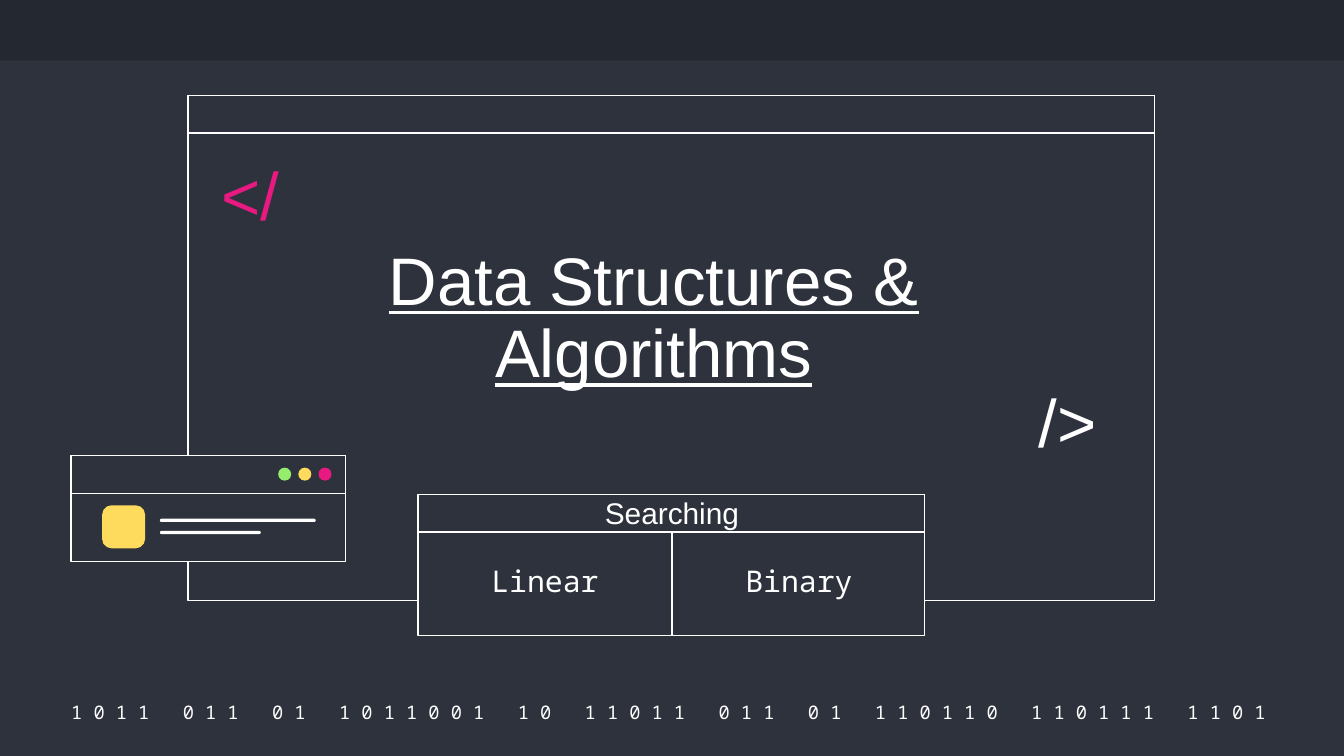
import dataclasses

import pptx
import pptx.dml.color
import pptx.enum.shapes
import pptx.enum.text
import pptx.oxml
import pptx.oxml.ns
import pptx.util

SHAPES = pptx.enum.shapes.MSO_SHAPE
ALIGN = pptx.enum.text.PP_ALIGN
ANCHOR = pptx.enum.text.MSO_ANCHOR


@dataclasses.dataclass(frozen=True)
class Theme:
    background: str = "2D323C"
    band: str = "242830"
    white: str = "FFFFFF"
    pink: str = "E81981"
    yellow: str = "FFDB5D"
    green: str = "94EE6B"
    heading_font: str = "Arial"
    code_font: str = "Noto Sans Mono"
    title_size: int = 36
    label_size: int = 16
    digit_size: int = 10
    outline: float = 0.75


@dataclasses.dataclass(frozen=True)
class Area:
    """A place in grid cells: 100 columns, square cells."""
    col: float
    row: float
    cols: float
    rows: float


@dataclasses.dataclass(frozen=True)
class Label:
    text: str
    area: Area
    size: int
    font: str
    color: str = "FFFFFF"
    align: int = ALIGN.CENTER
    anchor: int = ANCHOR.TOP
    spacing: float = 1.0
    underline: bool = False


THEME = Theme()
WIDTH, HEIGHT = pptx.util.Inches(10), pptx.util.Inches(5.625)
COLUMNS = 100
BAR_ROWS = 2.8


def cells(count: float) -> int:
    return round(count * WIDTH / COLUMNS)


def rgb(value: str) -> pptx.dml.color.RGBColor:
    return pptx.dml.color.RGBColor.from_string(value)


def apply(target, values: dict) -> None:
    for name, value in values.items():
        setattr(target, name, value)


def place(box, area: Area) -> None:
    apply(box, {"left": cells(area.col), "top": cells(area.row),
                "width": cells(area.cols), "height": cells(area.rows)})


def draw_shape(page, kind, area: Area, fill: str, line: str = "", corner=None):
    box = page.shapes.add_shape(kind, 0, 0, 0, 0)
    place(box, area)
    box.shadow.inherit = False
    box.fill.solid()
    box.fill.fore_color.rgb = rgb(fill)
    if line:
        box.line.color.rgb = rgb(line)
        box.line.width = pptx.util.Pt(THEME.outline)
    else:
        box.line.fill.background()
    if corner is not None:
        box.adjustments[0] = corner


def draw_window(page, area: Area) -> None:
    """An outlined window with a title bar along its top."""
    bar = dataclasses.replace(area, rows=BAR_ROWS)
    for part in (area, bar):
        draw_shape(page, SHAPES.RECTANGLE, part, THEME.background, THEME.white)


def add_span(para, text: str, label: Label):
    span = para.add_run()
    span.text = text
    apply(span.font, {"size": pptx.util.Pt(label.size), "name": label.font,
                      "underline": label.underline or None})
    span.font.color.rgb = rgb(label.color)
    return span


def format_box(box, label: Label):
    """Place and format a text box or placeholder; return its paragraph."""
    place(box, label.area)
    inset = cells(1)
    apply(box.text_frame, {
        "word_wrap": True, "auto_size": pptx.enum.text.MSO_AUTO_SIZE.NONE,
        "vertical_anchor": label.anchor, "margin_left": inset,
        "margin_right": inset, "margin_top": inset, "margin_bottom": inset})
    para = box.text_frame.paragraphs[0]
    apply(para, {"alignment": label.align, "line_spacing": label.spacing,
                 "space_before": pptx.util.Pt(0)})
    return para


def draw_label(page, label: Label) -> None:
    box = page.shapes.add_textbox(0, 0, 0, 0)
    add_span(format_box(box, label), label.text, label)


def draw_digits(page, groups: list[str], label: Label) -> None:
    """Spaced digits, with a widened space between the groups."""
    para = format_box(page.shapes.add_textbox(0, 0, 0, 0), label)
    for index, group in enumerate(groups):
        if index:
            gap = add_span(para, " ", label)
            gap.font._element.set("spc", "1200")
        add_span(para, " ".join(group), label)
    add_span(para, " ", label)


def draw_line(page, col: float, top: float, bottom: float) -> None:
    line = page.shapes.add_connector(
        pptx.enum.shapes.MSO_CONNECTOR.STRAIGHT,
        cells(col), cells(top), cells(col), cells(bottom))
    line.line.color.rgb = rgb(THEME.white)
    line.line.width = pptx.util.Pt(THEME.outline)
    properties = line._element.find(pptx.oxml.ns.qn("p:spPr"))
    properties.append(pptx.oxml.parse_xml(
        f"<a:effectLst {pptx.oxml.ns.nsdecls('a')}/>"))


def main() -> None:
    deck = pptx.Presentation()
    apply(deck, {"slide_width": WIDTH, "slide_height": HEIGHT})
    page = deck.slides.add_slide(deck.slide_layouts[5])
    page.background.fill.solid()
    page.background.fill.fore_color.rgb = rgb(THEME.background)

    # Top band and binary footer
    draw_shape(page, SHAPES.RECTANGLE, Area(0, 0, COLUMNS, 4.5), THEME.band)
    draw_digits(
        page, "1011 011 01 1011001 10 11011 011 01 110110 110111 1101".split(),
        Label("", Area(3.8, 52, 92.7, 2), THEME.digit_size, THEME.code_font,
              anchor=ANCHOR.MIDDLE))

    # Main window and topic window
    draw_window(page, Area(14, 7.1, 71.9, 37.6))
    draw_window(page, Area(31.1, 36.8, 37.7, 10.5))

    # Code brackets
    for text, col, row, color in (("</", 15.5, 11.5, THEME.pink),
                                  ("/>", 76.3, 28.4, THEME.white)):
        draw_label(page, Label(
            text, Area(col, row, 7.7, 6.6), THEME.title_size,
            THEME.heading_font, color, ALIGN.LEFT, ANCHOR.MIDDLE, 0.9))

    # Title, brought in front of the windows
    title = page.shapes.title
    heading = Label("Data Structures & Algorithms", Area(21.2, 22.9, 54.9, 7.3),
                    THEME.title_size, THEME.heading_font,
                    anchor=ANCHOR.BOTTOM, spacing=0.9, underline=True)
    add_span(format_box(title, heading), heading.text, heading)
    title.element.getparent().append(title.element)

    # Small window: buttons, icon and text bars
    draw_window(page, Area(5.3, 33.9, 20.4, 7.9))
    for index, color in enumerate((THEME.green, THEME.yellow, THEME.pink)):
        draw_shape(page, SHAPES.OVAL,
                   Area(20.7 + 1.5 * index, 34.8, 0.97, 0.97), color)
    draw_shape(page, SHAPES.ROUNDED_RECTANGLE, Area(7.6, 37.6, 3.2, 3.2),
               THEME.yellow, corner=0.22)
    for row, length in ((38.6, 11.6), (39.5, 7.5)):
        draw_shape(page, SHAPES.ROUNDED_RECTANGLE,
                   Area(11.9, row, length, 0.24), THEME.white, corner=0.5)

    # Topic labels and divider
    draw_label(page, Label(
        "Searching", Area(42.3, 37.8, 15.4, 2.7), THEME.label_size,
        THEME.heading_font, anchor=ANCHOR.BOTTOM, spacing=0.9))
    draw_line(page, 50, 39.6, 47.3)
    for text, col, cols in (("Linear", 33.5, 14.1), ("Binary", 50, 18.9)):
        draw_label(page, Label(text, Area(col, 40.9, cols, 3.9),
                               THEME.label_size, THEME.code_font))

    deck.save("out.pptx")


if __name__ == "__main__":
    main()
